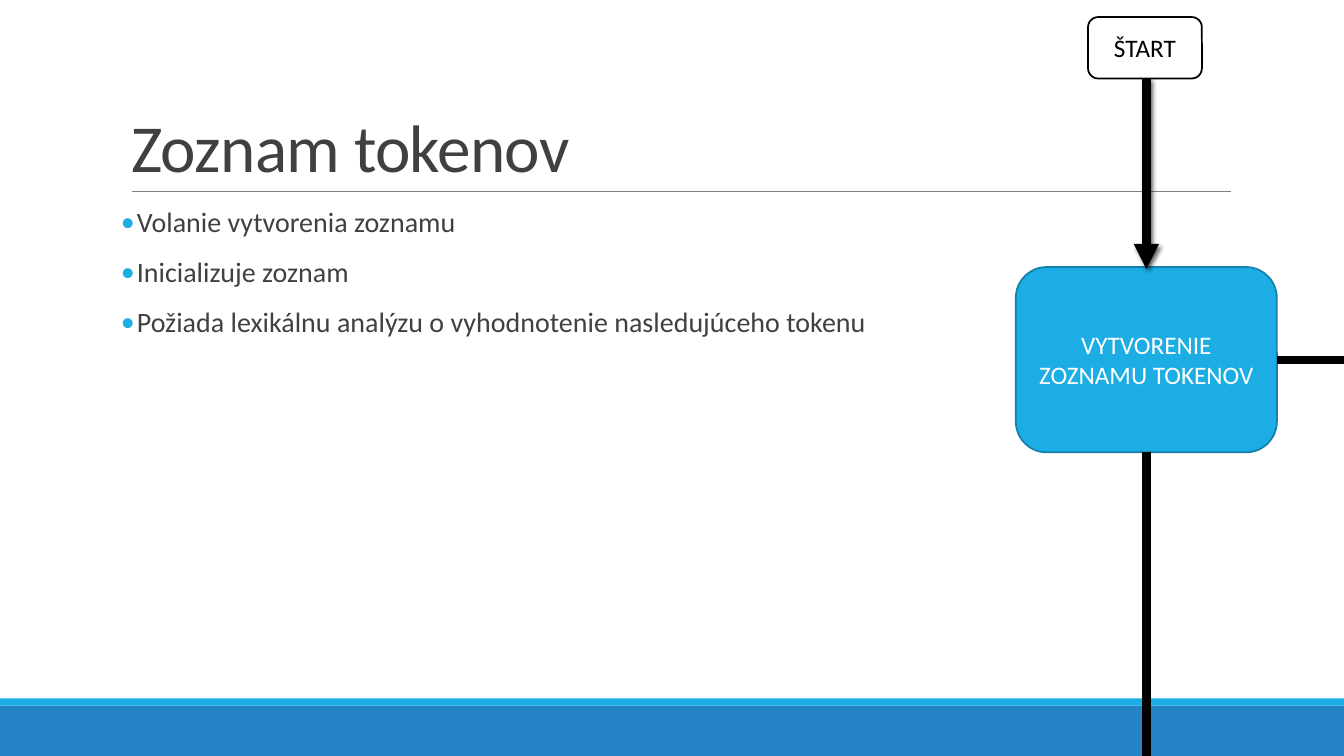
from collections import namedtuple

from lxml import etree
from pptx import Presentation
from pptx import util as u
from pptx.dml.color import RGBColor
from pptx.enum import shapes, text
from pptx.oxml import ns

WHITE = RGBColor(0xFF, 0xFF, 0xFF)
BLACK = RGBColor(0x00, 0x00, 0x00)
GREY = RGBColor(0x80, 0x80, 0x80)
DARK = RGBColor(0x40, 0x40, 0x40)
CYAN = RGBColor(0x1C, 0xAD, 0xE4)
TEAL = RGBColor(0x15, 0x80, 0xA9)
BLUE = RGBColor(0x26, 0x83, 0xC6)
FONT = "Calibri"

Box = namedtuple("Box", "left top width height")
PAGE = Box(0, 0, 33.87, 19.05)
POINTS = [
    "Volanie vytvorenia zoznamu",
    "Inicializuje zoznam",
    "Požiada lexikálnu analýzu o vyhodnotenie nasledujúceho tokenu",
]


def add_xml(parent, tag, **attributes):
    return etree.SubElement(parent, ns.qn(tag), attributes)


def write(para, wording, size=18, color=DARK, align=None, line_spacing=None,
          before=None, after=None, tracking=None):
    span = para.add_run()
    span.text = wording
    span.font.name, span.font.size = FONT, u.Pt(size)
    span.font.color.rgb = color
    if tracking is not None:
        span.font._element.set("spc", str(tracking))
    para.alignment, para.line_spacing = align, line_spacing
    if before is not None:
        para.space_before = u.Pt(before)
    if after is not None:
        para.space_after = u.Pt(after)


def add_bullet(para, indent):
    props = para._p.get_or_add_pPr()
    props.set("marL", str(u.Cm(indent)))
    props.set("indent", str(-u.Cm(indent)))
    add_xml(add_xml(props, "a:buClr"), "a:srgbClr", val=str(CYAN))
    add_xml(props, "a:buFont", typeface=FONT)
    add_xml(props, "a:buChar", char="•")


def add_block(page, kind, box, fill, outline=None, wording=None, color=WHITE):
    block = page.shapes.add_shape(kind, *map(u.Cm, box))
    block.shadow.inherit = False
    block.fill.solid()
    block.fill.fore_color.rgb = fill
    if outline is None:
        block.line.fill.background()
    else:
        block.line.color.rgb, block.line.width = outline, u.Pt(1.25)
    if wording:
        frame = block.text_frame
        frame.word_wrap = True
        frame.vertical_anchor = text.MSO_ANCHOR.MIDDLE
        write(frame.paragraphs[0], wording, color=color, align=text.PP_ALIGN.CENTER)


def add_line(page, start, end, color=BLACK, width=6, arrow=False, shadow=False):
    line = page.shapes.add_connector(
        shapes.MSO_CONNECTOR.STRAIGHT, *map(u.Cm, (*start, *end)))
    line.line.color.rgb, line.line.width = color, u.Pt(width)
    if arrow:
        add_xml(line.line._get_or_add_ln(), "a:tailEnd", type="triangle")
    effects = add_xml(line._element.spPr, "a:effectLst")
    if shadow:
        cast = add_xml(effects, "a:outerShdw", blurRad=str(u.Pt(3)), dist=str(u.Pt(2)),
                       dir="2700000", algn="tl", rotWithShape="0")
        add_xml(add_xml(cast, "a:srgbClr", val=str(BLACK)), "a:alpha", val="60000")


def add_footer(page, box):
    stripe = 0.18
    rectangle = shapes.MSO_SHAPE.RECTANGLE
    add_block(page, rectangle, box._replace(
        top=box.top + stripe, height=box.height - stripe), BLUE)
    add_block(page, rectangle, box._replace(height=stripe), CYAN)


def add_heading(page, box, rule_width):
    title = page.shapes.title
    title.left, title.top, title.width, title.height = map(u.Cm, box)
    frame = title.text_frame
    frame.word_wrap, frame.auto_size = True, text.MSO_AUTO_SIZE.NONE
    frame.vertical_anchor = text.MSO_ANCHOR.BOTTOM
    write(frame.paragraphs[0], "Zoznam tokenov", size=48, line_spacing=0.85,
          align=text.PP_ALIGN.LEFT, tracking=-50)
    left, bottom = box.left + 0.28, box.top + box.height
    add_line(page, (left, bottom), (left + rule_width, bottom), GREY, 0.5)


def add_points(page, box):
    frame = page.shapes.add_textbox(*map(u.Cm, box)).text_frame
    frame.word_wrap = True
    frame.margin_left = frame.margin_right = 0
    for index, wording in enumerate(POINTS):
        para = frame.add_paragraph() if index else frame.paragraphs[0]
        write(para, wording, size=20, line_spacing=0.9, before=12, after=2)
        add_bullet(para, 0.4)


def add_flow(page, box):
    rounded = shapes.MSO_SHAPE.ROUNDED_RECTANGLE
    axis = box.left + box.width / 2
    right, bottom = box.left + box.width, box.top + box.height
    start = Box(axis - 1.47, 0.43, 2.87, 1.55)
    add_block(page, rounded, box, CYAN, TEAL, "VYTVORENIE ZOZNAMU TOKENOV")
    add_line(page, (axis, start.top + start.height), (axis, box.top + 0.05),
             arrow=True, shadow=True)
    add_block(page, rounded, start, WHITE, BLACK, "ŠTART", BLACK)
    middle = box.top + box.height / 2
    add_line(page, (right, middle), (PAGE.width, middle))
    add_line(page, (axis, bottom), (axis, PAGE.height))


deck = Presentation()
deck.slide_width, deck.slide_height = u.Cm(PAGE.width), u.Cm(PAGE.height)
page = deck.slides.add_slide(deck.slide_layouts.get_by_name("Title Only"))
add_footer(page, Box(0, 17.6, PAGE.width, 1.45))
add_heading(page, Box(3.05, 0.79, 22.56, 4.04), 27.68)
add_points(page, Box(3.05, 5.13, 22.56, 11.18))
add_flow(page, Box(25.6, 6.73, 6.58, 4.67))
deck.save("out.pptx")
